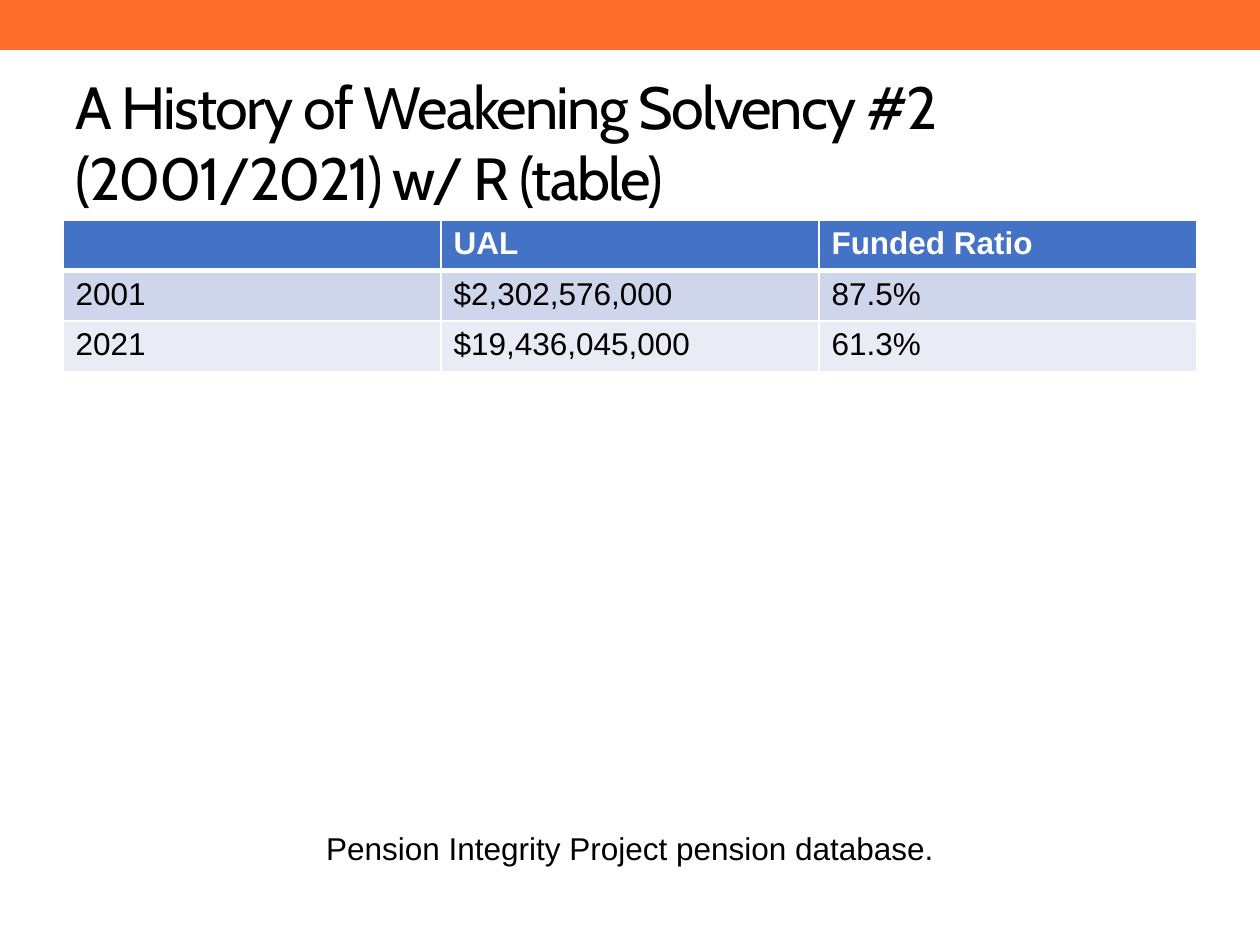
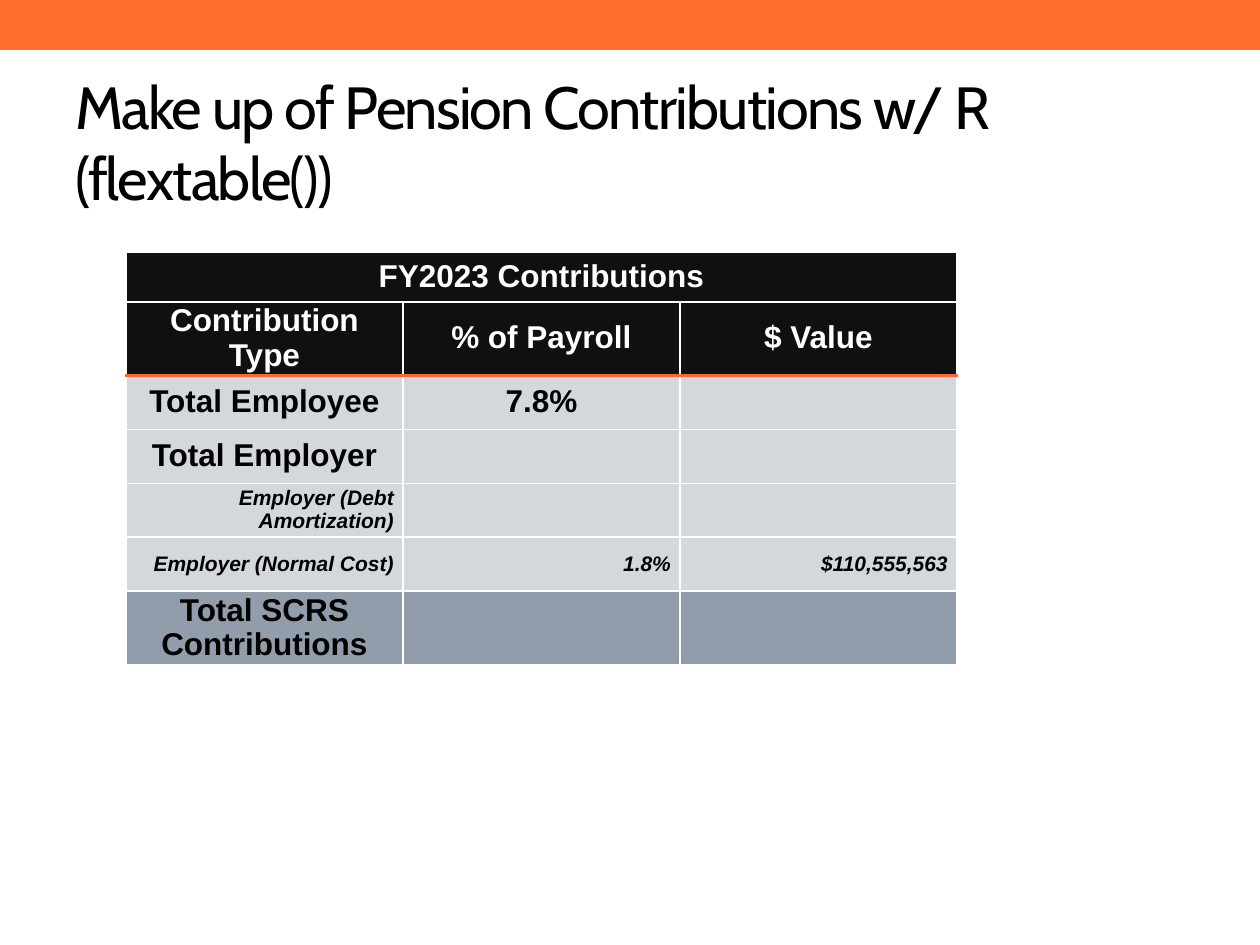
from dataclasses import dataclass

import lxml.etree
import pptx
import pptx.dml.color
import pptx.enum.shapes
import pptx.enum.text
import pptx.oxml.ns
import pptx.util

ALIGN = pptx.enum.text.PP_ALIGN
ANCHOR = pptx.enum.text.MSO_ANCHOR
PX = 914400 / 126


@dataclass(frozen=True)
class Theme:
    """Colours, fonts and type sizes shared by the slides."""
    band: str = "FF6D2C"
    accent: str = "FF6633"
    ink: str = "000000"
    paper: str = "FFFFFF"
    blue: str = "4472C4"
    blue_mid: str = "CFD5EA"
    blue_pale: str = "E9EBF5"
    black: str = "101010"
    grey: str = "D3D8DD"
    slate: str = "919DAA"
    title_font: str = "Cabin"
    body_font: str = "Arial"
    title_size: int = 34
    body_size: int = 18
    detail_size: int = 12


THEME = Theme()
HAIRLINE = (THEME.paper, 1)


@dataclass(frozen=True)
class Row:
    """One table row: its texts, look, and the rule drawn below it."""
    texts: tuple
    fill: str
    height: int
    ink: str = THEME.ink
    size: int = THEME.body_size
    bold: bool = False
    italic: bool = False
    align: ALIGN = ALIGN.LEFT
    rule: tuple = HAIRLINE


def px(length):
    """Turn pixels into EMU."""
    return pptx.util.Emu(round(length * PX))


def rgb(value):
    """Turn a hex string into a colour."""
    return pptx.dml.color.RGBColor.from_string(value)


def write(paragraph, text, size, ink=THEME.ink, font=THEME.body_font, bold=False, italic=False):
    """Add one styled run to a paragraph and return it."""
    run = paragraph.add_run()
    run.text = text
    run.font.name = font
    run.font.size = pptx.util.Pt(size)
    run.font.bold = bold
    run.font.italic = italic
    run.font.color.rgb = rgb(ink)
    return run


def add_text_box(slide, box, anchor=ANCHOR.TOP):
    """Add a wrapping text box and return its first paragraph."""
    frame = slide.shapes.add_textbox(*map(px, box)).text_frame
    frame.word_wrap = True
    frame.vertical_anchor = anchor
    return frame.paragraphs[0]


def add_band(slide, box):
    """Draw the coloured band across the top."""
    band = slide.shapes.add_shape(pptx.enum.shapes.MSO_SHAPE.RECTANGLE, *map(px, box))
    band.shadow.inherit = False
    band.fill.solid()
    band.fill.fore_color.rgb = rgb(THEME.band)
    band.line.fill.background()


def add_title(slide, box, text):
    """Write the slide title with tightened letter spacing."""
    heading = add_text_box(slide, box, ANCHOR.MIDDLE)
    run = write(heading, text, THEME.title_size, font=THEME.title_font)
    run.font._element.set("spc", "-100")


def add_borders(cell, above, below):
    """Set the four borders of a cell, ahead of its fill."""
    properties = cell._tc.get_or_add_tcPr()
    edges = {"lnL": HAIRLINE, "lnR": HAIRLINE, "lnT": above, "lnB": below}
    for position, (tag, (colour, points)) in enumerate(edges.items()):
        edge = lxml.etree.Element(pptx.oxml.ns.qn(f"a:{tag}"), w=str(pptx.util.Pt(points)))
        paint = lxml.etree.SubElement(edge, pptx.oxml.ns.qn("a:solidFill"))
        lxml.etree.SubElement(paint, pptx.oxml.ns.qn("a:srgbClr"), val=colour)
        properties.insert(position, edge)


def add_grid(slide, box, rows, compact=False):
    """Build a table of equal columns; compact cells are centred without vertical margins."""
    left, top, width = box
    columns = len(rows[0].texts)
    height = sum(row.height for row in rows)
    table = slide.shapes.add_table(
        len(rows), columns, px(left), px(top), px(width), px(height)).table
    table.horz_banding = False
    above = HAIRLINE
    for index, row in enumerate(rows):
        table.rows[index].height = px(row.height)
        for column, text in enumerate(row.texts):
            cell = table.cell(index, column)
            cell.fill.solid()
            cell.fill.fore_color.rgb = rgb(row.fill)
            add_borders(cell, above, row.rule)
            paragraph = cell.text_frame.paragraphs[0]
            paragraph.alignment = row.align
            if compact:
                cell.vertical_anchor = ANCHOR.MIDDLE
                cell.margin_top = cell.margin_bottom = 0
                cell.margin_left = cell.margin_right = px(9)
                paragraph.line_spacing = 0.97
            if text:
                write(paragraph, text, row.size, row.ink, bold=row.bold, italic=row.italic)
        above = row.rule
    return table


def add_slide(deck, title):
    """Add a slide carrying the shared band and title."""
    slide = deck.slides.add_slide(deck.slide_layouts[6])
    add_band(slide, (0, 0, 1260, 50))
    add_title(slide, (63, 73, 1084, 136), title)
    return slide


def add_solvency_slide(deck):
    """Compare the funding of 2001 and 2021."""
    slide = add_slide(deck, "A History of Weakening Solvency #2 (2001/2021) w/ R (table)")
    add_grid(slide, (63, 220, 1134), [
        Row(("", "UAL", "Funded Ratio"), THEME.blue, 48, ink=THEME.paper, bold=True,
            rule=(THEME.paper, 3)),
        Row(("2001", "$2,302,576,000", "87.5%"), THEME.blue_mid, 48),
        Row(("2021", "$19,436,045,000", "61.3%"), THEME.blue_pale, 48),
    ])
    source = add_text_box(slide, (63, 823, 1134, 70))
    source.alignment = ALIGN.CENTER
    write(source, "Pension Integrity Project pension database.", THEME.body_size)


def add_contributions_slide(deck):
    """Break down the contributions by who pays them."""
    slide = add_slide(deck, "Make up of Pension Contributions w/ R (flextable())")
    total = dict(bold=True, align=ALIGN.CENTER)
    header = dict(total, fill=THEME.black, ink=THEME.paper)
    detail = dict(fill=THEME.grey, height=54, size=THEME.detail_size,
                  bold=True, italic=True, align=ALIGN.RIGHT)
    contributions = add_grid(slide, (126, 252, 831), [
        Row(("FY2023 Contributions", "", ""), height=50, **header),
        Row(("Contribution Type", "% of Payroll", "$ Value"), height=54,
            rule=(THEME.accent, 2), **header),
        Row(("Total Employee", "7.8%", ""), THEME.grey, 54, **total),
        Row(("Total Employer", "", ""), THEME.grey, 54, **total),
        Row(("Employer (Debt Amortization)", "", ""), **detail),
        Row(("Employer (Normal Cost)", "1.8%", "$110,555,563"), **detail),
        Row(("Total SCRS Contributions", "", ""), THEME.slate, 50, **total),
    ], compact=True)
    contributions.cell(0, 0).merge(contributions.cell(0, 2))


def main():
    """Build and save the deck."""
    deck = pptx.Presentation()
    deck.slide_width, deck.slide_height = px(1260), px(945)
    add_solvency_slide(deck)
    add_contributions_slide(deck)
    deck.save("out.pptx")


if __name__ == "__main__":
    main()
